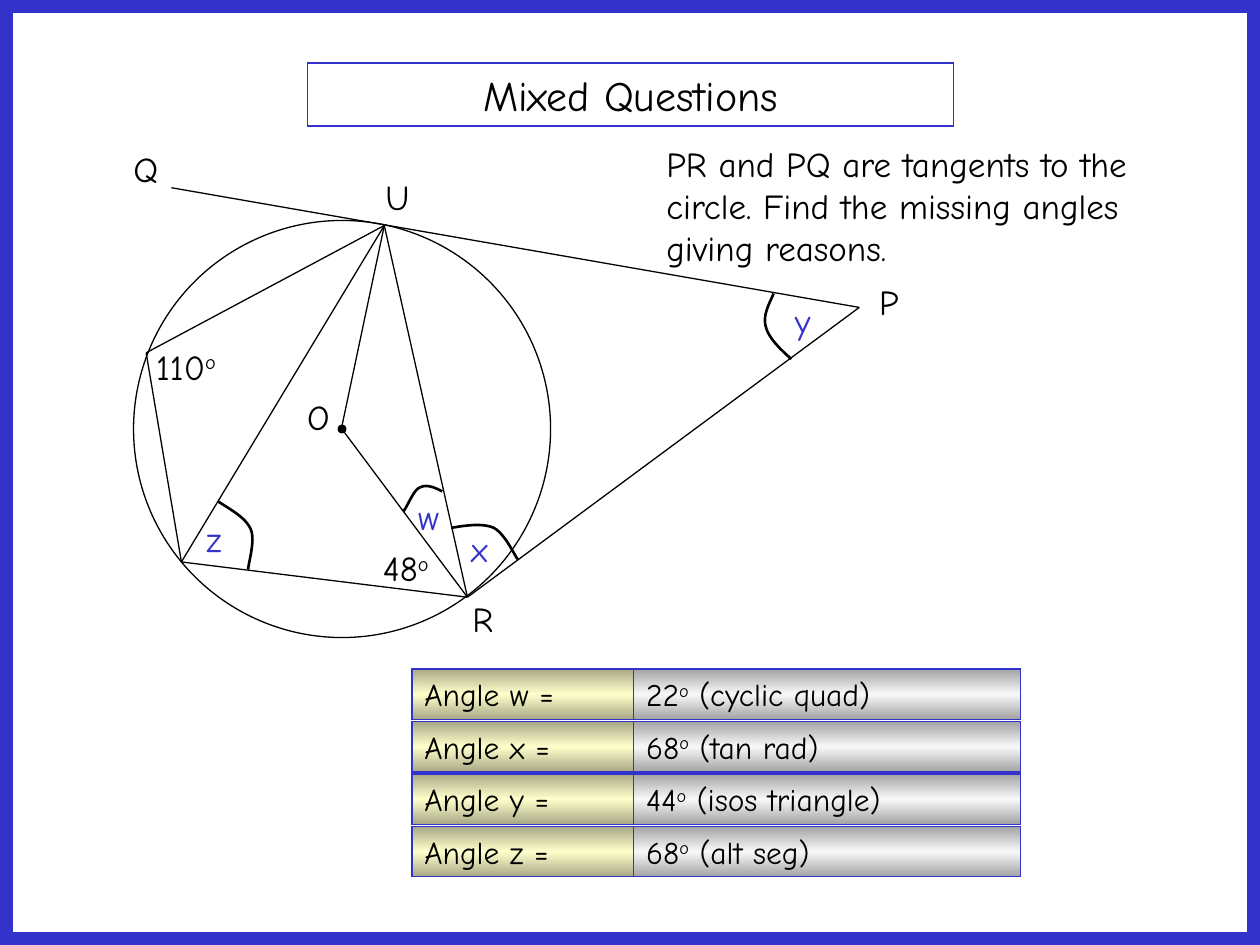
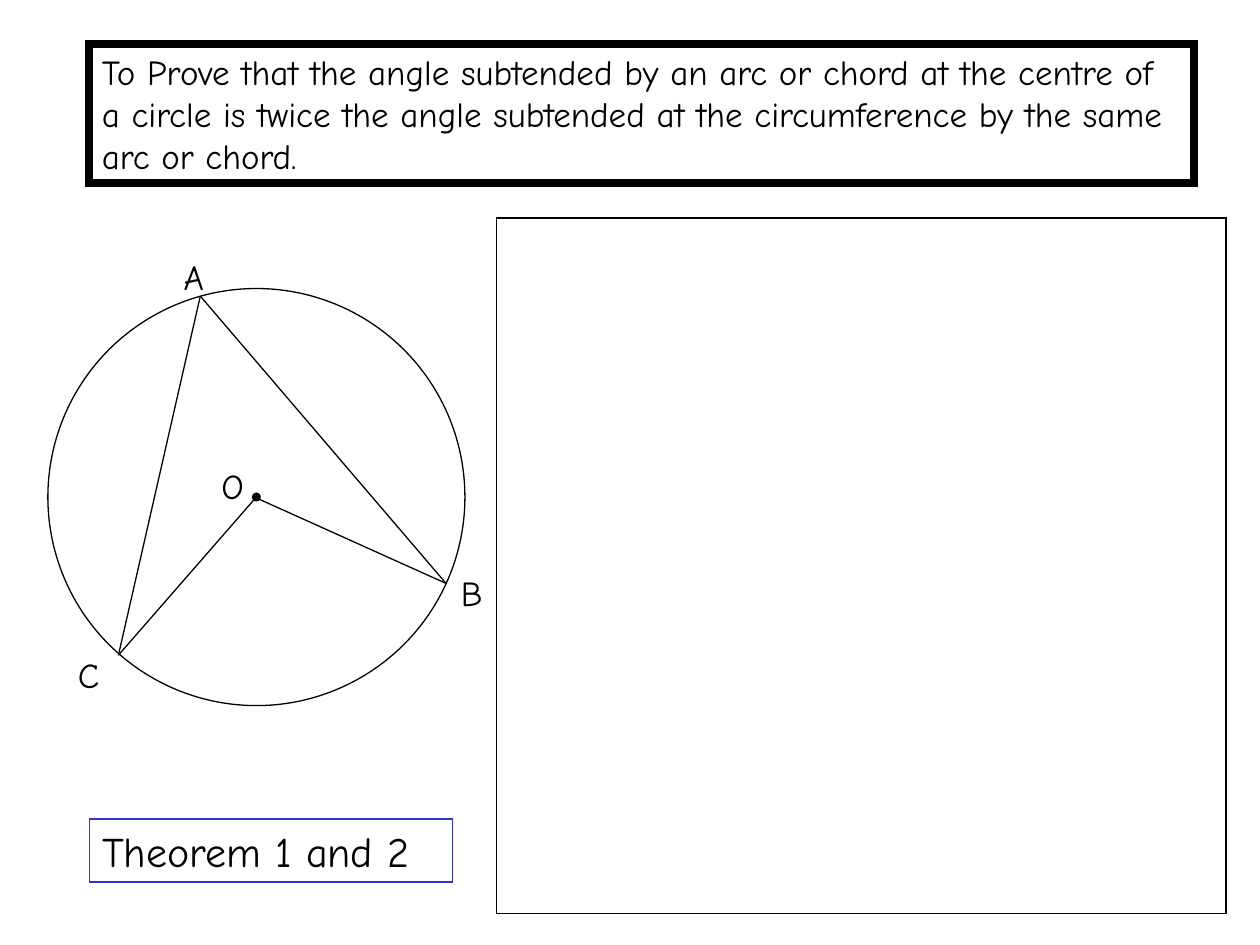
from copy import deepcopy
from dataclasses import dataclass

from pptx import Presentation
from pptx.dml.color import RGBColor
from pptx.enum.shapes import MSO_CONNECTOR as Connector, MSO_SHAPE as Preset
from pptx.enum.text import MSO_ANCHOR as Anchor, MSO_AUTO_SIZE as AutoSize, PP_ALIGN as Align
from pptx.oxml.ns import qn
from pptx.oxml.xmlchemy import OxmlElement
from pptx.util import Inches, Pt


@dataclass(frozen=True)
class Theme:
    font: str = "Comic Neue"
    ink: str = "000000"
    accent: str = "3333CC"
    question: tuple = ("A8A886", "FFFFCC")
    answer: tuple = ("A3A3A3", "F8F8F8")
    title: int = 24
    body: int = 20
    table: int = 18
    thin: float = 0.75
    arc: float = 1.5
    heavy: float = 4.5
    frame: float = 15


THEME = Theme()


def write_text(shape, text, size=THEME.body, color=THEME.ink, align=Align.LEFT):
    frame = shape.text_frame
    frame.word_wrap = True
    frame.auto_size = AutoSize.NONE
    frame.vertical_anchor = Anchor.TOP
    para = frame.paragraphs[0]
    para.alignment = align
    parts = (text,) if isinstance(text, str) else text
    for index, part in enumerate(parts):
        span = para.add_run()
        span.text = part
        span.font.name = THEME.font
        span.font.size = Pt(size)
        span.font.color.rgb = RGBColor.from_string(color)
        if index % 2:
            span.font._element.set("baseline", "30000")


def bezier(start, first, second, end, steps=12):
    for step in range(1, steps + 1):
        t = step / steps
        weights = ((1 - t) ** 3, 3 * t * (1 - t) ** 2, 3 * t * t * (1 - t), t ** 3)
        corners = zip(start, first, second, end)
        yield tuple(sum(w * c for w, c in zip(weights, axis)) for axis in corners)


class Board:
    def __init__(self, deck, theme):
        self.deck = deck
        self.theme = theme
        self.page = None

    def new_page(self):
        self.page = self.deck.slides.add_slide(self.deck.slide_layouts[5])

    def outline(self, shape, color, width):
        shape.line.color.rgb = RGBColor.from_string(color)
        shape.line.width = Pt(width)
        miter = OxmlElement("a:miter")
        miter.set("lim", "800000")
        shape._element.spPr.find(qn("a:ln")).append(miter)

    def title(self, text, left, top, width, height, align=Align.LEFT):
        box = self.page.shapes.title
        box.left, box.top, box.width, box.height = map(Inches, (left, top, width, height))
        self.outline(box, self.theme.accent, self.theme.thin)
        write_text(box, text, size=self.theme.title, align=align)

    def shape(self, preset, left, top, width, height, color=THEME.ink, weight=THEME.thin, fill=None):
        shape = self.page.shapes.add_shape(preset, *map(Inches, (left, top, width, height)))
        shape.shadow.inherit = False
        self.outline(shape, color, weight)
        if fill:
            shape.fill.solid()
            shape.fill.fore_color.rgb = RGBColor.from_string(fill)
        else:
            shape.fill.background()
        return shape

    def circle(self, left, top, size, fill=None):
        self.shape(Preset.OVAL, left, top, size, size, fill=fill)

    def centred_circle(self, left, top, size=3.31, dot=0.06):
        self.circle(left, top, size)
        inset = (size - dot) / 2
        self.circle(left + inset, top + inset, dot, fill=self.theme.ink)

    def cell(self, text, left, top, width, height, shades):
        box = self.shape(Preset.RECTANGLE, left, top, width, height, color=self.theme.accent)
        box.fill.gradient()
        box.fill.gradient_angle = 90
        for stop, shade, position in zip(box.fill.gradient_stops, shades, (0, 0.5)):
            stop.color.rgb = RGBColor.from_string(shade)
            stop.position = position
        stops = box._element.spPr.find(".//" + qn("a:gsLst"))
        last = deepcopy(stops[0])
        last.set("pos", "100000")
        stops.append(last)
        write_text(box, text, size=self.theme.table)

    def label(self, text, left, top, width=0.43, height=0.44, color=THEME.ink):
        box = self.page.shapes.add_textbox(*map(Inches, (left, top, width, height)))
        write_text(box, text, color=color)

    def line(self, start, end):
        line = self.page.shapes.add_connector(Connector.STRAIGHT, *map(Inches, (*start, *end)))
        self.outline(line, self.theme.ink, self.theme.thin)
        line._element.spPr.append(OxmlElement("a:effectLst"))

    def arc(self, *points):
        builder = self.page.shapes.build_freeform(*map(Inches, points[0]), scale=1.0)
        curve = []
        for index in range(0, len(points) - 1, 3):
            curve.extend(bezier(*points[index:index + 4]))
        builder.add_line_segments([(Inches(x), Inches(y)) for x, y in curve], close=False)
        shape = builder.convert_to_shape()
        shape.shadow.inherit = False
        shape.fill.background()
        self.outline(shape, self.theme.ink, self.theme.arc)


def mixed_questions(board):
    board.new_page()
    board.title("Mixed Questions", 2.44, 0.5, 5.13, 0.5, align=Align.CENTER)
    board.label("PR and PQ are tangents to the circle. Find the missing angles giving reasons.",
                5.19, 1.08, 4.54, 1.1)

    answers = {
        "w": ("22", "o", " (cyclic quad)"),
        "x": ("68", "o", " (tan rad)"),
        "y": ("44", "o", " (isos triangle)"),
        "z": ("68", "o", " (alt seg)"),
    }
    for row, (angle, answer) in enumerate(answers.items()):
        top = 5.31 + row * 1.25 / 3
        board.cell(answer, 5.03, top, 3.07, 0.4, board.theme.answer)
        board.cell(f"Angle {angle} =", 3.27, top, 1.76, 0.4, board.theme.question)

    board.centred_circle(1.06, 1.75)
    centre, u, r, p, q = (2.71, 3.4), (3.05, 1.79), (3.71, 4.74), (6.82, 2.44), (1.36, 1.49)
    left_point, low_point = (1.16, 2.8), (1.44, 4.46)
    for start, end in (
        (centre, r), (centre, u), (r, p), (p, q), (u, r),
        (u, left_point), (left_point, low_point), (low_point, r), (u, low_point),
    ):
        board.line(start, end)

    for name, left, top in (
        ("O", 2.34, 3.09), ("U", 2.96, 1.34), ("P", 6.88, 2.18), ("Q", 0.96, 1.12), ("R", 3.65, 4.69),
    ):
        board.label(name, left, top)
    for name, left, top in (("w", 3.22, 3.88), ("x", 3.64, 4.14), ("y", 6.21, 2.33), ("z", 1.54, 4.06)):
        board.label(name, left, top, color=board.theme.accent)
    board.label(("48", "o"), 2.94, 4.29, width=0.72)
    board.label(("110", "o"), 1.14, 2.69, width=0.92)

    for points in (
        ((1.73, 3.98), (1.84, 4.05), (1.95, 4.11), (1.99, 4.2), (2.03, 4.29), (1.97, 4.47), (1.97, 4.52)),
        ((3.51, 3.9), (3.45, 3.87), (3.39, 3.84), (3.33, 3.87), (3.28, 3.89), (3.23, 4.03), (3.2, 4.06)),
        ((3.58, 4.19), (3.7, 4.17), (3.83, 4.15), (3.92, 4.19), (4.01, 4.24), (4.08, 4.4), (4.11, 4.44)),
        ((6.14, 2.33), (6.1, 2.42), (6.05, 2.51), (6.08, 2.6), (6.1, 2.68), (6.19, 2.77), (6.28, 2.85)),
    ):
        board.arc(*points)
    board.shape(Preset.RECTANGLE, 0, 0, 10, 7.5, color=board.theme.accent, weight=board.theme.frame)


def centre_theorem(board):
    board.new_page()
    board.title("Theorem 1 and 2", 0.71, 6.5, 2.88, 0.5)
    statement = board.shape(Preset.RECTANGLE, 0.71, 0.35, 8.77, 1.1, weight=board.theme.heavy)
    write_text(statement, "To Prove that the angle subtended by an arc or chord at the centre of a circle "
                          "is twice the angle subtended at the circumference by the same arc or chord.")

    board.centred_circle(0.38, 2.29)
    centre, a, b, c = (2.03, 3.95), (1.59, 2.35), (3.54, 4.63), (0.94, 5.2)
    for start, end in ((centre, b), (centre, c), (c, a), (a, b)):
        board.line(start, end)
    for name, left, top in (("O", 1.66, 3.64), ("A", 1.36, 1.98), ("B", 3.56, 4.49), ("C", 0.52, 5.14)):
        board.label(name, left, top)
    board.shape(Preset.RECTANGLE, 3.94, 1.73, 5.79, 5.52)


def main():
    deck = Presentation()
    deck.slide_width, deck.slide_height = Inches(10), Inches(7.5)
    board = Board(deck, THEME)
    mixed_questions(board)
    centre_theorem(board)
    deck.save("out.pptx")


if __name__ == "__main__":
    main()
